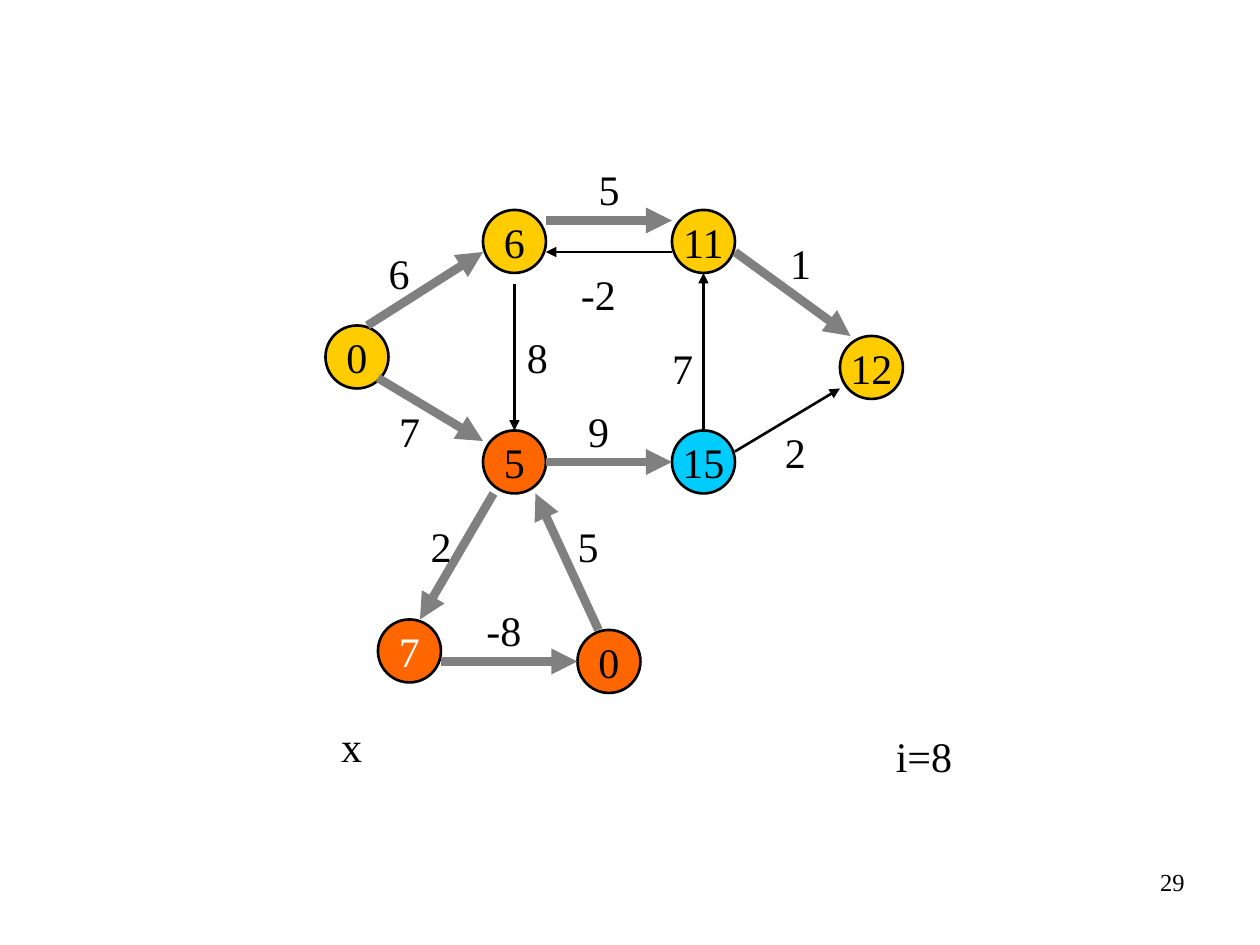
from lxml import etree
from pptx import Presentation, util as u
from pptx.dml.color import RGBColor
from pptx.enum import shapes, text
from pptx.oxml.ns import qn


def rgb(value):
    return RGBColor.from_string(value)


class Graph:
    font = "Times New Roman"
    size = 24
    ink = "000000"
    diameter = 36
    align = text.PP_ALIGN

    def __init__(self, s):
        self.s = s

    def label(self, sp, words, color=ink, size=size, align=align.CENTER,
              anchor=text.MSO_ANCHOR.MIDDLE, wrap=False):
        tf = sp.text_frame
        tf.word_wrap = wrap
        tf.vertical_anchor = anchor
        p = tf.paragraphs[0]
        p.text = words
        p.alignment = align
        p.font.name = self.font
        p.font.size = u.Pt(size)
        p.font.color.rgb = rgb(color)

    def node(self, words, x, y, fill, color=ink):
        d = u.Pt(self.diameter)
        sp = self.s.shapes.add_shape(shapes.MSO_SHAPE.OVAL, u.Pt(x), u.Pt(y), d, d)
        sp.shadow.inherit = False
        sp.fill.solid()
        sp.fill.fore_color.rgb = rgb(fill)
        sp.line.color.rgb = rgb(self.ink)
        sp.line.width = u.Pt(1.5)
        self.label(sp, words, color)

    def arrow(self, x1, y1, x2, y2, color, width):
        sp = self.s.shapes.add_connector(
            shapes.MSO_CONNECTOR.STRAIGHT, u.Pt(x1), u.Pt(y1), u.Pt(x2), u.Pt(y2))
        sp.line.color.rgb = rgb(color)
        sp.line.width = u.Pt(width)
        props = sp._element.spPr
        etree.SubElement(props.get_or_add_ln(), qn("a:tailEnd"), type="triangle")
        etree.SubElement(props, qn("a:effectLst"))

    def box(self, words, x, y, w, h=36, **style):
        sp = self.s.shapes.add_textbox(u.Pt(x), u.Pt(y), u.Pt(w), u.Pt(h))
        self.label(sp, words, **style)

    def weight(self, words, center, y):
        w = 18.5 + 8 * len(words)
        self.box(words, center - w / 2, y, w)


YELLOW, ORANGE, BLUE = "FFCC00", "FF6600", "00CCFF"

NODES = [
    ("0", 186, 186, YELLOW),
    ("5", 276, 246, ORANGE),
    ("6", 276, 120, YELLOW),
    ("15", 384, 246, BLUE),
    ("12", 480, 192, YELLOW),
    ("11", 384, 120, YELLOW),
    ("0", 330, 360, ORANGE),
    ("7", 216, 354, ORANGE, "FFFFFF"),
]

TREE_EDGES = [
    (210, 186, 276, 144),
    (216, 216, 276, 252),
    (312, 126, 384, 126),
    (312, 264, 384, 264),
    (420, 144, 486, 192),
    (282, 282, 240, 354),
    (252, 378, 330, 378),
    (342, 360, 306, 282),
]

OTHER_EDGES = [
    (384, 144, 312, 144),
    (294, 162, 294, 246),
    (402, 246, 402, 156),
    (420, 258, 480, 222),
]

WEIGHTS = [
    ("6", 228, 138), ("7", 234, 228), ("8", 307, 186), ("5", 348, 90),
    ("-2", 342, 150), ("1", 457.5, 132), ("2", 454.5, 240), ("9", 342, 228),
    ("7", 390, 192), ("2", 252, 294), ("5", 336, 294), ("-8", 288, 342),
]

prs = Presentation()
prs.slide_width, prs.slide_height = u.Pt(720), u.Pt(540)
graph = Graph(prs.slides.add_slide(prs.slide_layouts[6]))
top = text.MSO_ANCHOR.TOP

graph.box("29", 516, 492, 168, size=14, align=graph.align.RIGHT, anchor=top, wrap=True)
for node in NODES:
    graph.node(*node)
for edge in TREE_EDGES:
    graph.arrow(*edge, "808080", 5)
for edge in OTHER_EDGES:
    graph.arrow(*edge, graph.ink, 1.5)
for weight in WEIGHTS:
    graph.weight(*weight)
graph.box("x", 180, 408, 42, anchor=top, wrap=True)
graph.box("i=8", 468, 414, 120, anchor=top, wrap=True)

prs.save("out.pptx")
